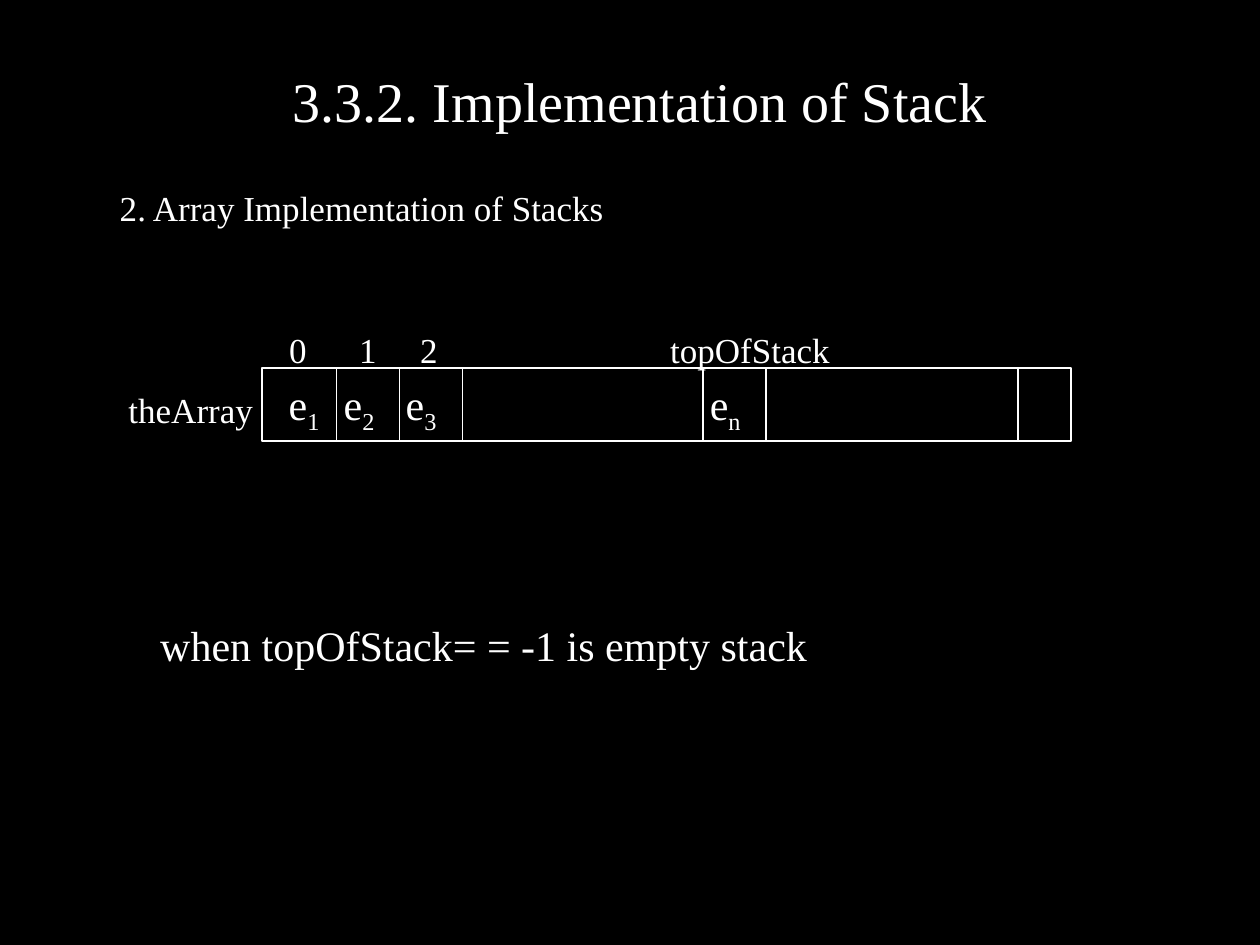
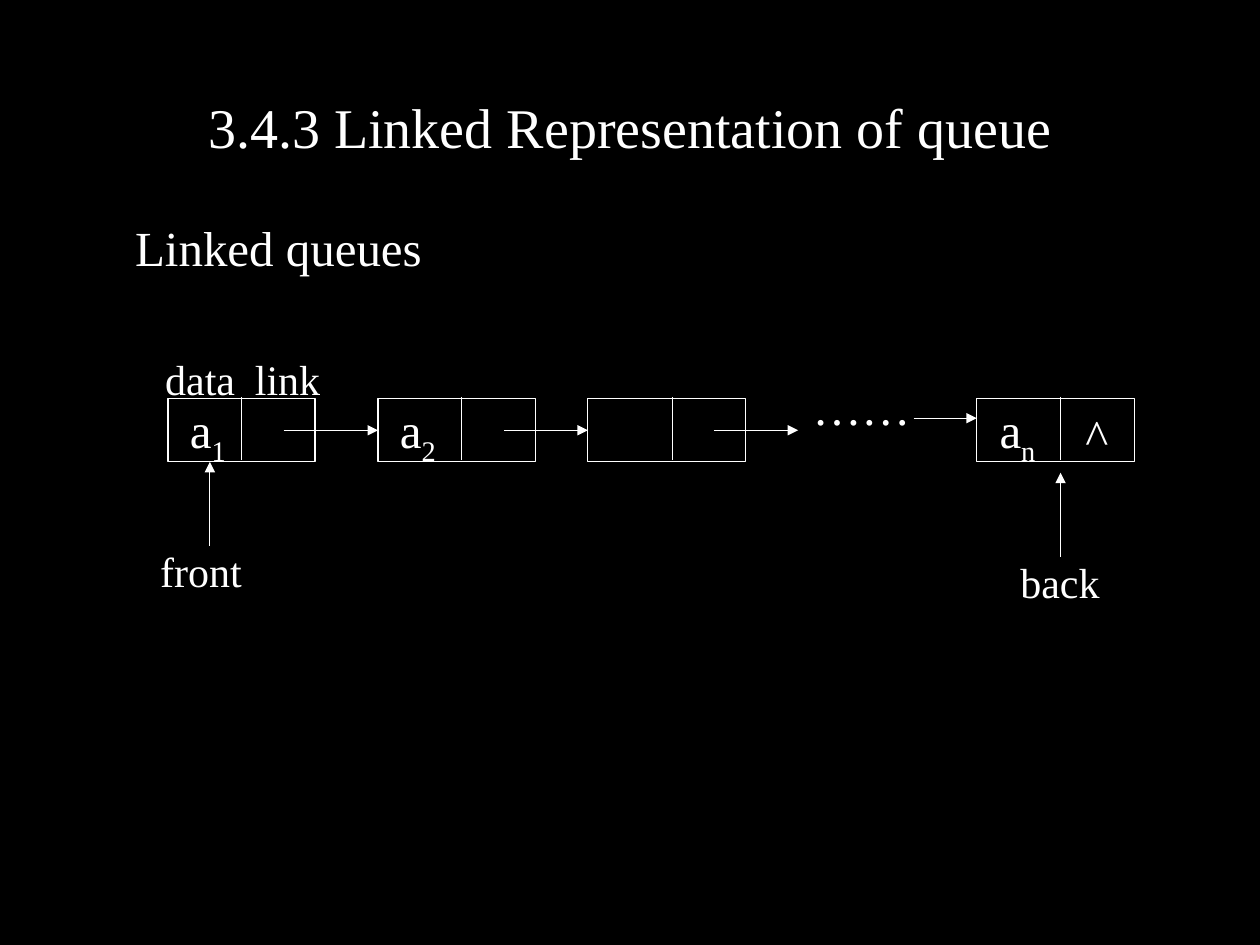
from dataclasses import dataclass

from lxml import etree
from pptx import Presentation
from pptx import util as u
from pptx.dml.color import RGBColor
from pptx.enum import shapes, text
from pptx.oxml import ns


@dataclass(frozen=True)
class Theme:
    paper: RGBColor = RGBColor(0x00, 0x00, 0x00)
    ink: RGBColor = RGBColor(0xFF, 0xFF, 0xFF)
    font: str = "Times New Roman"
    title: int = 32
    large: int = 28
    medium: int = 24
    small: int = 20
    line: float = 0.75
    subscript: int = -25000


def apply(target, values):
    for name, value in values.items():
        setattr(target, name, value)


class Deck:
    def __init__(self, theme):
        self.theme = theme
        self.file = Presentation()
        apply(self.file, {"slide_width": u.Cm(25.4), "slide_height": u.Cm(19.05)})
        fill = self.file.slide_master.background.fill
        fill.solid()
        fill.fore_color.rgb = theme.paper
        self.slide = None

    def add_slide(self):
        self.slide = self.file.slides.add_slide(self.file.slide_layouts[1])

    def style(self, font, size):
        apply(font, {"name": self.theme.font, "size": u.Pt(size)})
        font.color.rgb = self.theme.ink

    def fill_placeholder(self, holder, words, box, size, indent, frame, align):
        places = ("left", "top", "width", "height")
        apply(holder, dict(zip(places, map(u.Cm, box))))
        body = holder.text_frame
        apply(body, {"auto_size": text.MSO_AUTO_SIZE.NONE, **frame})
        paragraph = body.paragraphs[0]
        properties = paragraph._p.get_or_add_pPr()
        properties.set("marL", str(u.Cm(indent)))
        properties.set("indent", "0")
        etree.SubElement(properties, ns.qn("a:buNone"))
        apply(paragraph, {"alignment": align, "space_before": u.Pt(0)})
        run = paragraph.add_run()
        run.text = words
        self.style(run.font, size)

    def title(self, words, box, indent=0, align=text.PP_ALIGN.CENTER):
        frame = {"vertical_anchor": text.MSO_ANCHOR.MIDDLE}
        self.fill_placeholder(self.slide.shapes.title, words, box,
                              self.theme.title, indent, frame, align)

    def body(self, words, box, size, indent):
        frame = {"vertical_anchor": text.MSO_ANCHOR.TOP, "margin_top": u.Cm(0.37)}
        self.fill_placeholder(self.slide.placeholders[1], words, box,
                              size, indent, frame, text.PP_ALIGN.LEFT)

    def label(self, left, top, words, size, width=2.5, subscript=""):
        box = self.slide.shapes.add_textbox(
            u.Cm(left), u.Cm(top), u.Cm(width), u.Pt(size * 1.2))
        margins = dict.fromkeys(
            ("margin_left", "margin_top", "margin_right", "margin_bottom"), 0)
        apply(box.text_frame, {"word_wrap": True, **margins})
        paragraph = box.text_frame.paragraphs[0]
        for part, baseline in ((words, 0), (subscript, self.theme.subscript)):
            if part:
                run = paragraph.add_run()
                run.text = part
                self.style(run.font, size)
                if baseline:
                    run.font._element.set("baseline", str(baseline))

    def outline(self, left, top, width, height):
        box = self.slide.shapes.add_shape(
            shapes.MSO_SHAPE.RECTANGLE, *map(u.Cm, (left, top, width, height)))
        box.shadow.inherit = False
        box.fill.background()
        self.stroke(box.line)

    def stroke(self, line):
        line.color.rgb = self.theme.ink
        line.width = u.Pt(self.theme.line)

    def line(self, x1, y1, x2, y2, arrow=False):
        link = self.slide.shapes.add_connector(
            shapes.MSO_CONNECTOR.STRAIGHT, *map(u.Cm, (x1, y1, x2, y2)))
        self.stroke(link.line)
        if arrow:
            etree.SubElement(link.line._get_or_add_ln(), ns.qn("a:tailEnd"),
                             type="triangle")
        etree.SubElement(link._element.spPr, ns.qn("a:effectLst"))


def array_stack(deck):
    theme = deck.theme
    deck.add_slide()
    deck.title("3.3.2. Implementation of Stack", (1.7, 0.64, 22.23, 2.74),
               indent=3.95, align=text.PP_ALIGN.LEFT)
    deck.body("2. Array Implementation of Stacks", (1.91, 3.38, 21.59, 6.55),
              theme.small, 0.25)

    array_top, array_height = 7.42, 1.47
    deck.outline(5.28, array_top, 16.31, array_height)
    for divider in (6.78, 8.05, 9.32, 14.17, 15.44, 20.52):
        deck.line(divider, array_top, divider, array_top + array_height)

    deck.label(2.59, 7.84, "theArray", theme.small, width=2.7)
    for left, index in ((5.83, "0"), (7.24, "1"), (8.47, "2"), (13.51, "topOfStack")):
        deck.label(left, 6.63, index, theme.small, width=1 if len(index) == 1 else 4)
    for left, position in ((5.82, "1"), (6.93, "2"), (8.18, "3"), (14.31, "n")):
        deck.label(left, 7.63, "e", theme.medium, width=1.2, subscript=position)
    deck.label(3.23, 12.49, "when topOfStack= = -1 is empty stack",
               theme.medium, width=16)


def linked_queue(deck):
    theme = deck.theme
    deck.add_slide()
    deck.title("3.4.3 Linked Representation of queue", (1.91, 1.7, 21.59, 1.7))
    deck.body("Linked queues", (1.91, 4.02, 21.59, 12.91), theme.large, 0.56)

    node_top, node_height = 8.04, 1.27
    nodes = ((3.39, 2.96, 4.87), (7.62, 3.18, 9.31),
             (11.85, 3.18, 13.55), (19.69, 3.18, 21.38))
    for left, width, divider in nodes:
        deck.outline(left, node_top, width, node_height)
        deck.line(divider, 8.0, divider, 9.27)

    link_y = node_top + node_height / 2
    for start, end in ((5.72, 7.62), (10.16, 11.85), (14.39, 16.09)):
        deck.line(start, link_y, end, link_y, arrow=True)
    deck.line(18.42, 8.43, 19.69, 8.43, arrow=True)
    for pointer_x, tail, tip in ((4.23, 11.01, 9.31), (21.38, 11.22, 9.53)):
        deck.line(pointer_x, tail, pointer_x, tip, arrow=True)

    for left, item in ((3.83, "1"), (8.06, "2"), (20.15, "n")):
        deck.label(left, 8.06, "a", theme.large, width=1.2, subscript=item)
    deck.label(21.88, 8.18, "^", theme.large, width=1)
    deck.label(16.38, 7.6, "……", theme.large)
    for left, top, caption in ((3.33, 7.13, "data"), (5.14, 7.13, "link"),
                               (3.23, 11.0, "front"), (20.57, 11.22, "back")):
        deck.label(left, top, caption, theme.medium)


def main():
    deck = Deck(Theme())
    array_stack(deck)
    linked_queue(deck)
    deck.file.save("out.pptx")


if __name__ == "__main__":
    main()
